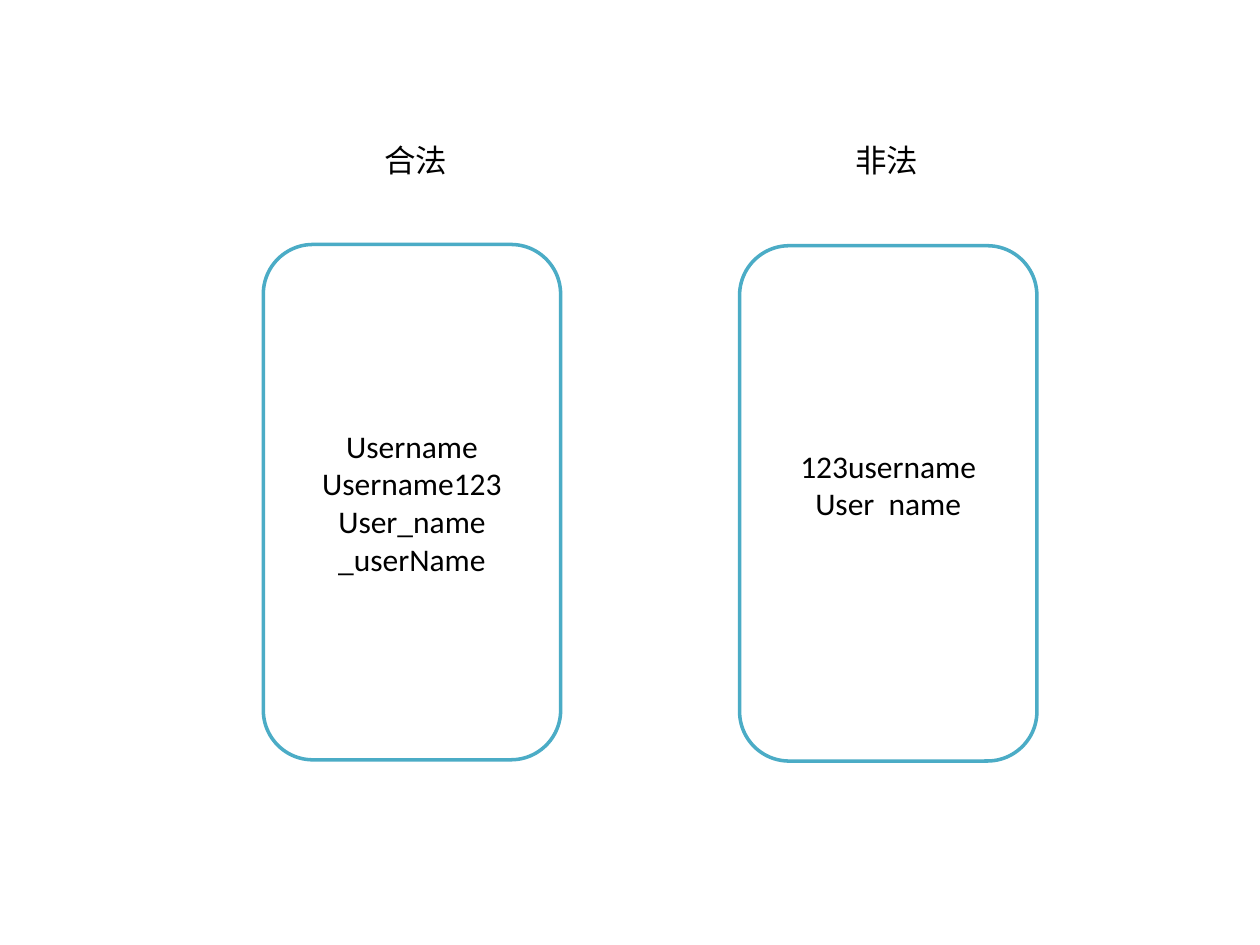
from pptx import Presentation
from pptx.dml.color import RGBColor
from pptx.enum import shapes, text
from pptx.util import Inches, Pt

BLACK = RGBColor(0x00, 0x00, 0x00)
WHITE = RGBColor(0xFF, 0xFF, 0xFF)
TEAL = RGBColor(0x4B, 0xAC, 0xC6)


def format_text(text_frame, alignment):
    for paragraph in text_frame.paragraphs:
        paragraph.alignment = alignment
        for run in paragraph.runs:
            run.font.name = "Calibri"
            run.font.size = Pt(18)
            run.font.color.rgb = BLACK


def add_heading(slide, left, heading):
    box = slide.shapes.add_textbox(Inches(left), Inches(1.07), Inches(0.71), Inches(0.4))
    text_frame = box.text_frame
    text_frame.word_wrap = False
    text_frame.auto_size = text.MSO_AUTO_SIZE.SHAPE_TO_FIT_TEXT
    text_frame.text = heading
    format_text(text_frame, text.PP_ALIGN.LEFT)


def add_name_card(slide, left, top, names, bottom_margin):
    """Add a rounded card; a larger bottom margin lifts its centred names."""
    card = slide.shapes.add_shape(
        shapes.MSO_SHAPE.ROUNDED_RECTANGLE,
        Inches(left), Inches(top), Inches(2.36), Inches(4.09))
    card.shadow.inherit = False
    card.fill.solid()
    card.fill.fore_color.rgb = WHITE
    card.line.color.rgb = TEAL
    card.line.width = Pt(2)
    text_frame = card.text_frame
    text_frame.word_wrap = True
    text_frame.vertical_anchor = text.MSO_ANCHOR.MIDDLE
    text_frame.margin_bottom = Inches(bottom_margin)
    text_frame.text = "\n".join(names)
    format_text(text_frame, text.PP_ALIGN.CENTER)


def main():
    presentation = Presentation()
    presentation.slide_width = Inches(10)
    presentation.slide_height = Inches(7.5)
    slide = presentation.slides.add_slide(presentation.slide_layouts[6])

    valid_names = ["Username", "Username123", "User_name", "_userName"]
    invalid_names = ["123username", "User  name"]
    add_name_card(slide, 2.09, 1.94, valid_names, 0.05)
    add_name_card(slide, 5.87, 1.95, invalid_names, 0.35)
    add_heading(slide, 2.95, "合法")
    add_heading(slide, 6.69, "非法")

    presentation.save("out.pptx")


if __name__ == "__main__":
    main()
